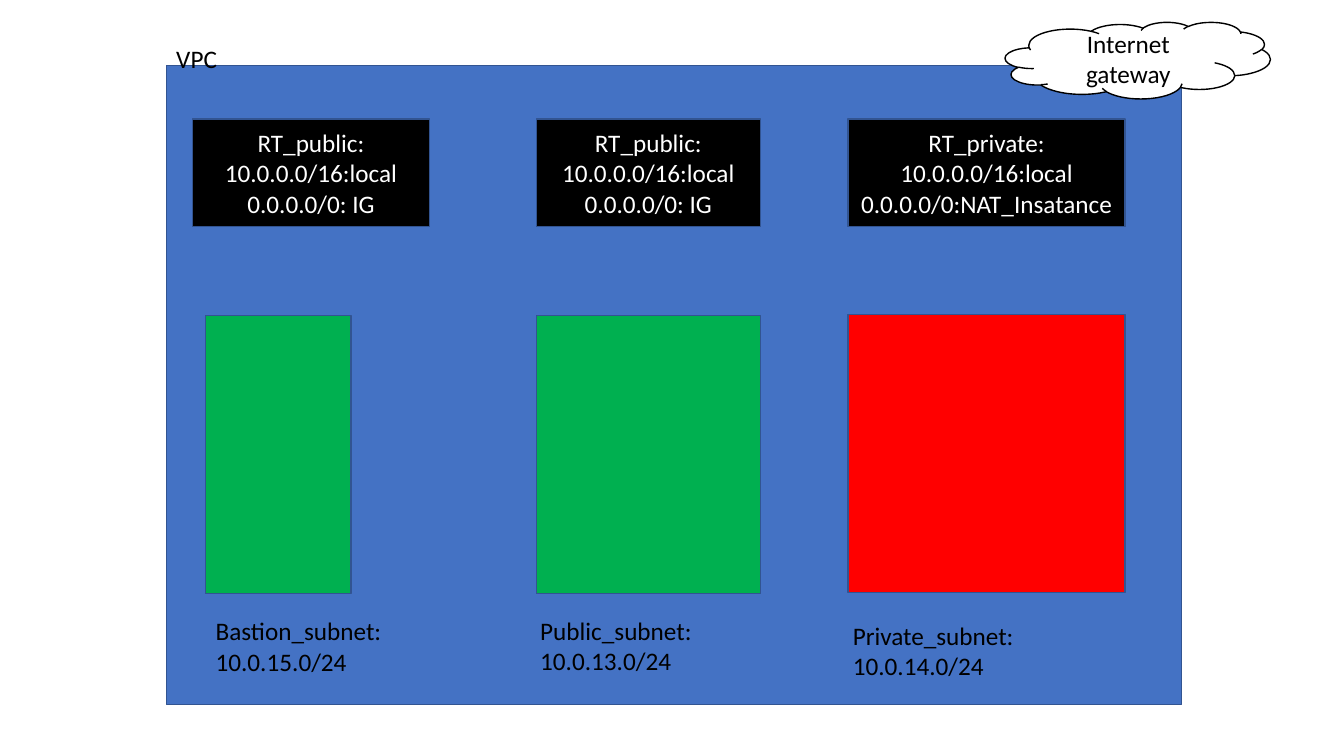
"""Draw a VPC with its route tables, subnets and internet gateway."""
from dataclasses import dataclass

from pptx import Presentation
from pptx.dml.color import RGBColor
from pptx.enum import shapes, text
from pptx.util import Inches, Pt


@dataclass(frozen=True)
class Theme:
    font: str = "Calibri"
    size: int = 18
    blue: str = "4472C4"
    edge: str = "325491"
    green: str = "00B050"
    red: str = "FF0000"
    black: str = "000000"
    white: str = "FFFFFF"


@dataclass(frozen=True)
class Box:
    left: float
    top: float
    width: float
    height: float

    def place(self) -> tuple:
        return tuple(map(Inches, (self.left, self.top, self.width, self.height)))


@dataclass(frozen=True)
class Zone:
    route: str
    table: Box
    fill: str
    subnet: Box
    name: str
    label: Box


THEME = Theme()
RECT = shapes.MSO_SHAPE.RECTANGLE
LOCAL = "10.0.0.0/16:local"
ROW, HIGH = 1.18, 1.07
DEEP, TALL = 2.76, 0.71

ZONES = (
    Zone(f"RT_public:\n{LOCAL}\n0.0.0.0/0: IG", Box(1.91, ROW, 2.35, HIGH),
         THEME.green, Box(2.04, 3.13, 1.44, DEEP),
         "Bastion_subnet:\n10.0.15.0/24", Box(2.04, 6.06, 1.99, TALL)),
    Zone(f"RT_public:\n{LOCAL}\n0.0.0.0/0: IG", Box(5.32, ROW, 2.22, HIGH),
         THEME.green, Box(5.32, 3.13, 2.22, DEEP),
         "Public_subnet:\n10.0.13.0/24", Box(5.26, 6.05, 2.23, TALL)),
    Zone(f"RT_private:\n{LOCAL}\n0.0.0.0/0:NAT_Insatance", Box(8.41, ROW, 2.75, HIGH),
         THEME.red, Box(8.41, 3.12, 2.75, DEEP),
         "Private_subnet:\n10.0.14.0/24", Box(8.36, 6.1, 2.53, TALL)),
)


def write(frame, words: str, color: str, align: text.PP_ALIGN) -> None:
    frame.word_wrap = True
    frame.text = words
    for para in frame.paragraphs:
        para.alignment = align
        para.font.name = THEME.font
        para.font.size = Pt(THEME.size)
        para.font.color.rgb = RGBColor.from_string(color)


def block(slide, box: Box, fill: str, words: str = "", ink: str = THEME.white,
          edge: str = THEME.edge, kind: shapes.MSO_SHAPE = RECT) -> None:
    shape = slide.shapes.add_shape(kind, *box.place())
    shape.shadow.inherit = False
    shape.fill.solid()
    shape.fill.fore_color.rgb = RGBColor.from_string(fill)
    shape.line.color.rgb = RGBColor.from_string(edge)
    shape.line.width = Pt(1)
    if words:
        shape.text_frame.vertical_anchor = text.MSO_ANCHOR.MIDDLE
        write(shape.text_frame, words, ink, text.PP_ALIGN.CENTER)


def label(slide, box: Box, words: str) -> None:
    frame = slide.shapes.add_textbox(*box.place()).text_frame
    write(frame, words, THEME.black, text.PP_ALIGN.LEFT)
    frame.auto_size = text.MSO_AUTO_SIZE.SHAPE_TO_FIT_TEXT


def main() -> None:
    deck = Presentation()
    deck.slide_width, deck.slide_height = Inches(13.33), Inches(7.5)
    slide = deck.slides.add_slide(deck.slide_layouts.get_by_name("Blank"))
    block(slide, Box(1.65, 0.65, 10.07, 6.34), THEME.blue)
    label(slide, Box(1.65, 0.38, 1.63, 0.4), "VPC")
    block(slide, Box(9.97, 0.22, 2.63, 0.76), THEME.white, "Internet gateway",
          THEME.black, THEME.black, shapes.MSO_SHAPE.CLOUD)
    for zone in ZONES:
        block(slide, zone.table, THEME.black, zone.route)
        block(slide, zone.subnet, zone.fill)
        label(slide, zone.label, zone.name)
    deck.save("out.pptx")


main()
